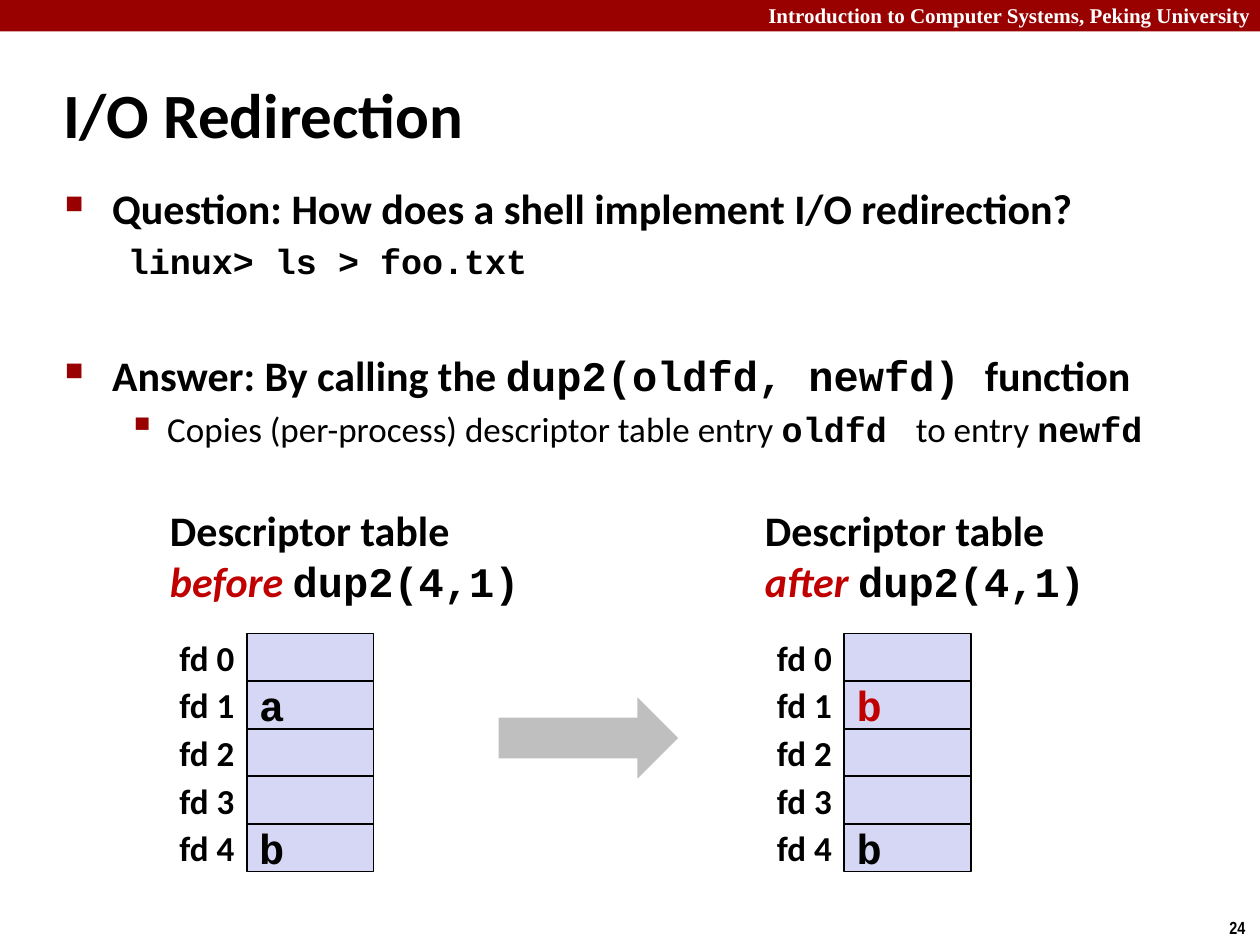
from lxml.etree import SubElement
from pptx import Presentation
from pptx.dml.color import RGBColor
from pptx.enum.shapes import MSO_SHAPE as Shape
from pptx.enum.text import MSO_ANCHOR as Anchor, MSO_AUTO_SIZE as AutoSize, PP_ALIGN as Align
from pptx.oxml.ns import qn
from pptx.util import Pt

BLACK = RGBColor(0x00, 0x00, 0x00)
WHITE = RGBColor(0xFF, 0xFF, 0xFF)
CRIMSON = RGBColor(0x99, 0x00, 0x00)
RED = RGBColor(0xC0, 0x00, 0x00)
LAVENDER = RGBColor(0xD6, 0xD6, 0xF5)
GRAY = RGBColor(0xBF, 0xBF, 0xBF)
CODE = "Courier New"


def write(paragraph, text, font="Calibri", size=24, bold=True, italic=False, color=BLACK):
    """Add one formatted run to the paragraph."""
    run = paragraph.add_run()
    run.text = text
    run.font.name = font
    run.font.size = Pt(size)
    run.font.bold = bold
    run.font.italic = italic
    run.font.color.rgb = color


def add_box(left, top, width, height, kind=None, fill=None, line=None, anchor=Anchor.MIDDLE):
    """Add a preset shape, or a text box if no kind is given; return its text frame."""
    box = (Pt(left), Pt(top), Pt(width), Pt(height))
    if kind is None:
        shape = slide.shapes.add_textbox(*box)
    else:
        shape = slide.shapes.add_shape(kind, *box)
        shape.shadow.inherit = False
        shape.fill.solid()
        shape.fill.fore_color.rgb = fill
        if line is None:
            shape.line.fill.background()
        else:
            shape.line.color.rgb = line
            shape.line.width = Pt(1)
    frame = shape.text_frame
    frame.word_wrap = True
    frame.vertical_anchor = anchor
    frame.paragraphs[0].alignment = Align.LEFT
    return frame


presentation = Presentation()
presentation.slide_width = Pt(720)
presentation.slide_height = Pt(540)
slide = presentation.slides.add_slide(presentation.slide_layouts[5])

# Header band and page number
add_box(0, 0, 720, 18, Shape.RECTANGLE, CRIMSON)
header = add_box(432, -2, 293, 21.6, anchor=Anchor.TOP)
write(header.paragraphs[0], "Introduction to Computer Systems, Peking University",
      font="Times New Roman", size=12, color=WHITE)
page_number = add_box(695.5, 520.5, 24.5, 19.5, anchor=Anchor.TOP)
page_number.word_wrap = False
write(page_number.paragraphs[0], "24", font="Arial Narrow", size=10)

# Title
title = slide.shapes.title
title.left, title.top, title.width, title.height = Pt(28.8), Pt(34.5), Pt(597.6), Pt(60)
title.text_frame.auto_size = AutoSize.NONE
title.text_frame.vertical_anchor = Anchor.MIDDLE
title.text_frame.paragraphs[0].alignment = Align.LEFT
write(title.text_frame.paragraphs[0], "I/O Redirection", size=36)

# Question and answer: level, bullet, bullet size in percent, space before, runs
code = {"font": CODE}
small = {"size": 20, "bold": False}
small_code = {"font": CODE, "size": 20}
body_lines = [
    (0, "■", 60, 0, [("Question: How does a shell implement I/O redirection?", {})]),
    (1, None, None, 4, [("linux> ls > foo.txt", small_code)]),
    (0, "■", 60, 39, [("Answer: By calling the ", {}), ("dup2(oldfd, newfd) ", code),
                      ("function", {})]),
    (1, "▪", 110, 4, [("Copies (per-process) descriptor table entry ", small),
                      ("oldfd ", small_code), (" to entry ", small), ("newfd", small_code)]),
]
margins = [(27, -27), (58.5, -22.5)]
body = add_box(30, 100.5, 654, 150, anchor=Anchor.TOP)
for index, (level, bullet, bullet_size, space, runs) in enumerate(body_lines):
    paragraph = body.paragraphs[0] if index == 0 else body.add_paragraph()
    paragraph.level = level
    paragraph.space_before = Pt(space)
    properties = paragraph._p.get_or_add_pPr()
    left_margin, indent = margins[level]
    properties.set("marL", str(Pt(left_margin)))
    properties.set("indent", str(Pt(indent)))
    if bullet:
        bullet_color = SubElement(properties, qn("a:buClr"))
        SubElement(bullet_color, qn("a:srgbClr")).set("val", str(CRIMSON))
        SubElement(properties, qn("a:buSzPct")).set("val", str(bullet_size * 1000))
        SubElement(properties, qn("a:buChar")).set("char", bullet)
    else:
        SubElement(properties, qn("a:buNone"))
    for text, text_format in runs:
        write(paragraph, text, **text_format)

# Descriptor tables: heading left, cell left, stage, entries by descriptor
tables = [
    (90, 141, "before ", {1: ("a", BLACK), 4: ("b", BLACK)}),
    (430, 482.4, "after ", {1: ("b", RED), 4: ("b", BLACK)}),
]
table_top, cell_width, row_height = 362, 72.5, 27.2
for heading_left, cell_left, stage, entries in tables:
    heading = add_box(heading_left, 284.5, 217, 65.5)
    write(heading.paragraphs[0], "Descriptor table")
    call = heading.add_paragraph()
    write(call, stage, italic=True, color=RED)
    write(call, "dup2(4,1)", font=CODE)
    for descriptor in range(5):
        top = table_top + descriptor * row_height
        cell = add_box(cell_left, top, cell_width, row_height, Shape.RECTANGLE, LAVENDER, BLACK)
        if descriptor in entries:
            entry, color = entries[descriptor]
            write(cell.paragraphs[0], entry, font=CODE, color=color)
        label = add_box(cell_left - cell_width, top, cell_width, row_height)
        label.paragraphs[0].alignment = Align.RIGHT
        write(label.paragraphs[0], f"fd {descriptor}", size=20)

add_box(285, 398.5, 102.5, 46.5, Shape.RIGHT_ARROW, GRAY)

presentation.save("out.pptx")
